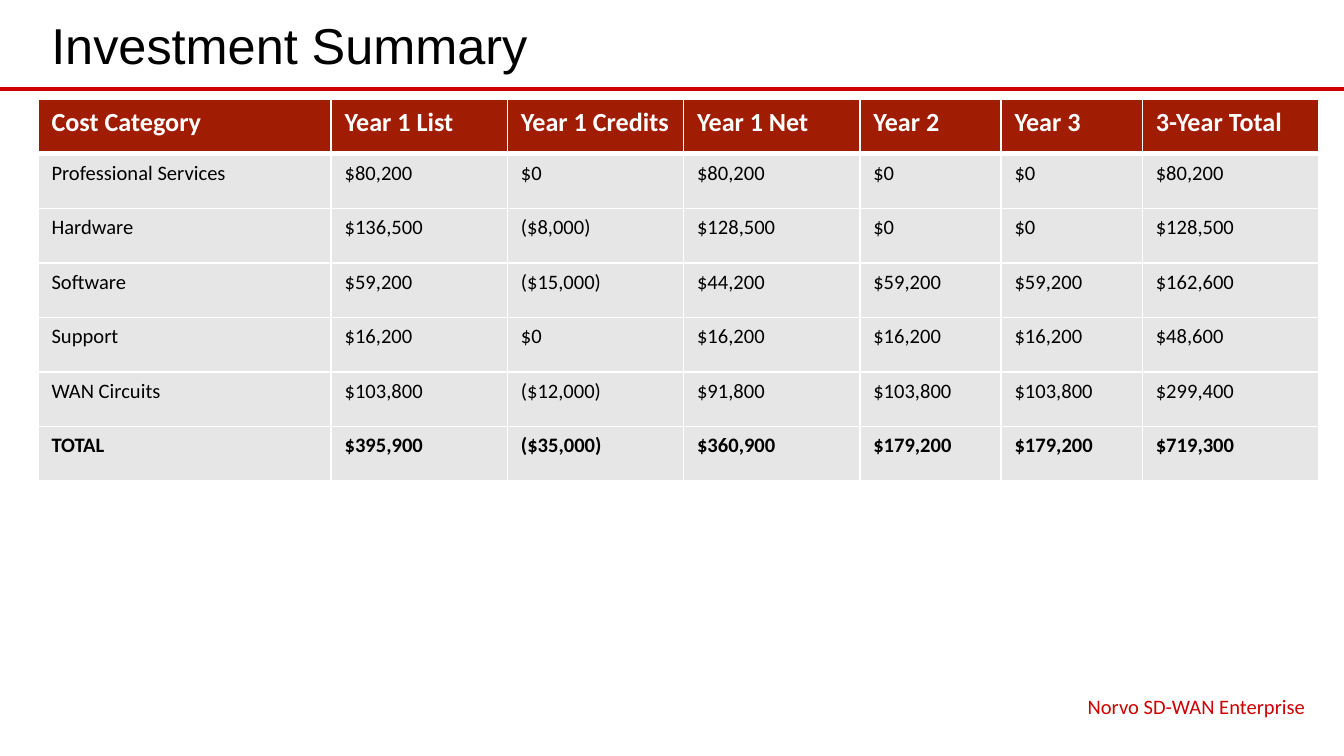
"""Build the investment summary slide with its cost table."""
from lxml.etree import SubElement
from pptx import Presentation
from pptx.dml.color import RGBColor
from pptx.enum.shapes import MSO_CONNECTOR
from pptx.enum.text import MSO_ANCHOR, PP_ALIGN
from pptx.oxml.ns import qn
from pptx.util import Cm, Pt

BLACK = RGBColor(0x00, 0x00, 0x00)
WHITE = RGBColor(0xFF, 0xFF, 0xFF)
RED = RGBColor(0xCC, 0x00, 0x00)
HEADER_RED = RGBColor(0xA0, 0x1C, 0x02)
BODY_GRAY = RGBColor(0xE7, 0xE6, 0xE6)

TITLE = "Investment Summary"
FOOTER = "Norvo SD-WAN Enterprise"
COSTS = [
    ("Cost Category", "Year 1 List", "Year 1 Credits", "Year 1 Net", "Year 2", "Year 3", "3-Year Total"),
    ("Professional Services", "$80,200", "$0", "$80,200", "$0", "$0", "$80,200"),
    ("Hardware", "$136,500", "($8,000)", "$128,500", "$0", "$0", "$128,500"),
    ("Software", "$59,200", "($15,000)", "$44,200", "$59,200", "$59,200", "$162,600"),
    ("Support", "$16,200", "$0", "$16,200", "$16,200", "$16,200", "$48,600"),
    ("WAN Circuits", "$103,800", "($12,000)", "$91,800", "$103,800", "$103,800", "$299,400"),
    ("TOTAL", "$395,900", "($35,000)", "$360,900", "$179,200", "$179,200", "$719,300"),
]
COLUMN_WIDTHS = [5.54, 3.33, 3.33, 3.33, 2.67, 2.67, 3.33]
ROW_HEIGHT = 1.03
SLIDE_WIDTH, SLIDE_HEIGHT = 25.4, 14.29
MARGIN = 0.72


def write_text(text_frame, text, font="Calibri", size=11, color=BLACK, bold=False, align=PP_ALIGN.LEFT):
    paragraph = text_frame.paragraphs[0]
    paragraph.alignment = align
    run = paragraph.add_run()
    run.text = text
    run.font.name = font
    run.font.size = Pt(size)
    run.font.bold = bold
    run.font.color.rgb = color


def add_text_box(slide, text, left, top, width, height, **text_format):
    box = slide.shapes.add_textbox(Cm(left), Cm(top), Cm(width), Cm(height))
    box.text_frame.word_wrap = True
    box.text_frame.vertical_anchor = MSO_ANCHOR.MIDDLE
    write_text(box.text_frame, text, **text_format)


def add_rule(slide, top):
    rule = slide.shapes.add_connector(MSO_CONNECTOR.STRAIGHT, 0, Cm(top), Cm(SLIDE_WIDTH), Cm(top))
    rule.line.color.rgb = RED
    rule.line.width = Pt(2.25)
    SubElement(rule._element.spPr, qn("a:effectLst"))


def set_borders(cell, **widths):
    properties = cell._tc.get_or_add_tcPr()
    for side in "LRTB":
        border = SubElement(properties, qn(f"a:ln{side}"), w=str(Pt(widths.get(side, 1))))
        fill = SubElement(border, qn("a:solidFill"))
        SubElement(fill, qn("a:srgbClr"), val=str(WHITE))


def add_cost_table(slide, top):
    frame = slide.shapes.add_table(
        len(COSTS), len(COLUMN_WIDTHS), Cm(MARGIN), Cm(top),
        Cm(sum(COLUMN_WIDTHS)), Cm(ROW_HEIGHT * len(COSTS)),
    )
    table = frame.table
    for column, width in zip(table.columns, COLUMN_WIDTHS):
        column.width = Cm(width)
    for row_index, values in enumerate(COSTS):
        table.rows[row_index].height = Cm(ROW_HEIGHT)
        is_header = row_index == 0
        is_total = row_index == len(COSTS) - 1
        for column_index, value in enumerate(values):
            cell = table.cell(row_index, column_index)
            set_borders(cell, T=3 if row_index == 1 else 1, B=3 if is_header else 1)
            cell.fill.solid()
            cell.fill.fore_color.rgb = HEADER_RED if is_header else BODY_GRAY
            write_text(
                cell.text_frame, value, size=14 if is_header else 11,
                color=WHITE if is_header else BLACK, bold=is_header or is_total,
            )


def main():
    presentation = Presentation()
    presentation.slide_width = Cm(SLIDE_WIDTH)
    presentation.slide_height = Cm(SLIDE_HEIGHT)
    slide = presentation.slides.add_slide(presentation.slide_layouts[6])
    content_width = sum(COLUMN_WIDTHS)
    footer_width = 8.94
    add_rule(slide, 1.68)
    add_text_box(slide, TITLE, MARGIN, 0.1, content_width, 1.47, font="Arial", size=27)
    add_cost_table(slide, 1.88)
    add_text_box(
        slide, FOOTER, MARGIN + content_width - footer_width, 13.03, footer_width, 0.66,
        color=RED, align=PP_ALIGN.RIGHT,
    )
    presentation.save("out.pptx")


if __name__ == "__main__":
    main()
